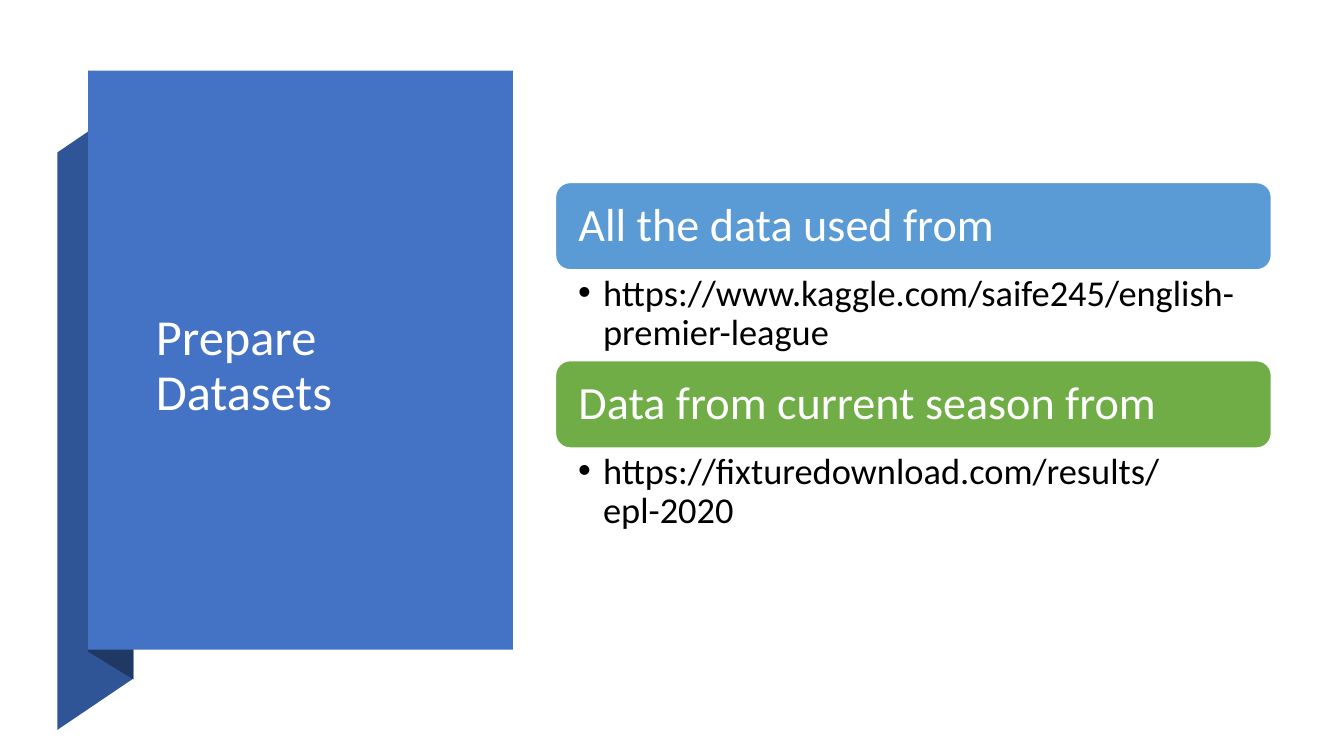
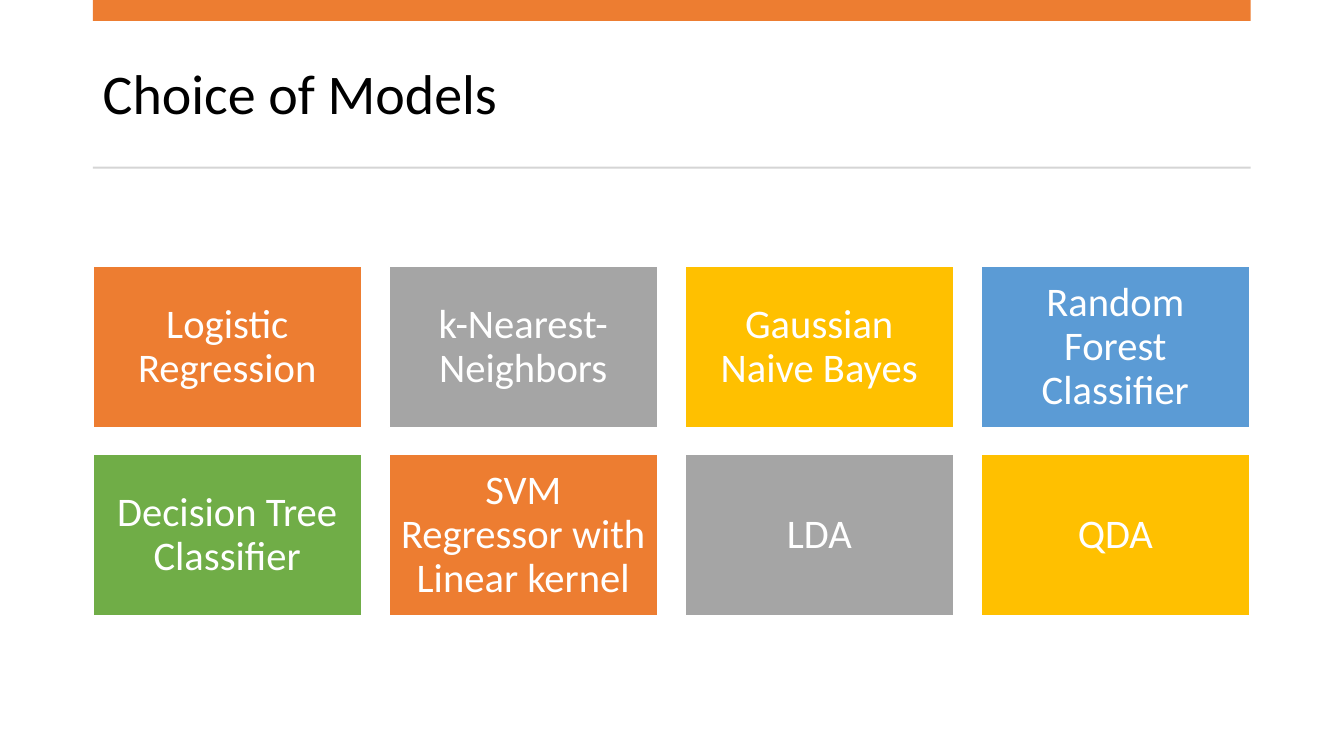
from dataclasses import dataclass

from lxml import etree
from pptx import Presentation
from pptx.dml.color import RGBColor
from pptx.enum import shapes, text
from pptx.oxml import ns
from pptx.util import Cm, Pt


@dataclass(frozen=True)
class Theme:
    font: str = "Calibri"
    white: str = "FFFFFF"
    black: str = "000000"
    rule: str = "D5D5D5"
    panel: str = "4472C4"
    ribbon: str = "2F5597"
    fold: str = "203864"
    orange: str = "ED7D31"
    gray: str = "A5A5A5"
    gold: str = "FFC000"
    blue: str = "5B9BD5"
    green: str = "70AD47"
    title_size: float = 40
    panel_title_size: float = 36
    heading_size: float = 33
    tile_size: float = 29
    link_size: float = 26


THEME = Theme()
RECTANGLE = shapes.MSO_SHAPE.RECTANGLE
ROUNDED = shapes.MSO_SHAPE.ROUNDED_RECTANGLE


def paint(shape, fill, line=None):
    shape.shadow.inherit = False
    shape.fill.solid()
    shape.fill.fore_color.rgb = RGBColor.from_string(fill)
    if line:
        shape.line.color.rgb = RGBColor.from_string(line)
        shape.line.width = Pt(1)
    else:
        shape.line.fill.background()


def add_bullet(para, indent):
    properties = para._p.get_or_add_pPr()
    properties.set("marL", str(Cm(indent)))
    properties.set("indent", str(-Cm(indent)))
    etree.SubElement(properties, ns.qn("a:buFont")).set("typeface", "Arial")
    etree.SubElement(properties, ns.qn("a:buChar")).set("char", "•")


def write(shape, words, *, size, color=THEME.white, align=text.PP_ALIGN.LEFT,
          anchor=text.MSO_ANCHOR.MIDDLE, insets=(0.25, 0.13, 0.25, 0.13), bullet=None):
    frame = shape.text_frame
    frame.word_wrap = True
    frame.vertical_anchor = anchor
    frame.margin_left, frame.margin_top, frame.margin_right, frame.margin_bottom = map(Cm, insets)
    para = frame.paragraphs[0]
    para.alignment = align
    para.line_spacing = 0.9
    if bullet:
        add_bullet(para, bullet)
    span = para.add_run()
    span.text = words
    span.font.name = THEME.font
    span.font.size = Pt(size)
    span.font.color.rgb = RGBColor.from_string(color)


def add_block(page, place, fill, *, kind=RECTANGLE, line=None):
    block = page.shapes.add_shape(kind, *map(Cm, place))
    paint(block, fill, line)
    return block


def add_words(page, place, words, **style):
    box = page.shapes.add_textbox(*map(Cm, place))
    write(box, words, **style)


def add_outline(page, points, fill):
    corners = [(Cm(x), Cm(y)) for x, y in points]
    builder = page.shapes.build_freeform(*corners[0])
    builder.add_line_segments(corners[1:], close=True)
    paint(builder.convert_to_shape(), fill)


def add_source(page, top, heading, link, fill):
    left, width, bar_height, link_height = 14, 18.04, 2.2, 2.29
    bar = add_block(page, (left, top, width, bar_height), fill, kind=ROUNDED, line=THEME.white)
    write(bar, heading, size=THEME.heading_size, insets=(0.47, 0.36, 0.47, 0.36))
    add_words(page, (left, top + bar_height, width, link_height), link,
              size=THEME.link_size, color=THEME.black, anchor=text.MSO_ANCHOR.TOP,
              insets=(0.57, 0.12, 0.65, 0.12), bullet=0.63)
    return top + bar_height + link_height


def add_tiles(page, tiles, *, left, top, columns=4):
    width, height, gap = 6.78, 4.06, 0.68
    for index, (name, fill) in enumerate(tiles):
        row, column = divmod(index, columns)
        place = (left + column * (width + gap), top + row * (height + gap), width, height)
        tile = add_block(page, place, fill, line=THEME.white)
        write(tile, name, size=THEME.tile_size, align=text.PP_ALIGN.CENTER, insets=(0.3,) * 4)


def build_datasets(page):
    add_outline(page, [(1.45, 18.39), (3.36, 17.1), (3.36, 2.54), (1.45, 3.84)], THEME.ribbon)
    add_outline(page, [(2.22, 16.42), (3.36, 17.12), (3.36, 2.51), (2.22, 1.78)], THEME.fold)
    add_block(page, (2.22, 1.78, 10.71, 14.59), THEME.panel)
    add_words(page, (3.68, 4.24, 7.65, 10), "Prepare Datasets", size=THEME.panel_title_size)
    sources = [
        ("All the data used from",
         "https://www.kaggle.com/saife245/english-premier-league", THEME.blue),
        ("Data from current season from",
         "https://fixturedownload.com/results/epl-2020", THEME.green),
    ]
    top = 4.6
    for heading, link, fill in sources:
        top = add_source(page, top, heading, link, fill)


def build_models(page):
    left, width = 2.34, 29.18
    add_words(page, (left, 0.94, width, 3), "Choice of Models",
              size=THEME.title_size, color=THEME.black)
    add_block(page, (left, 0, width, 0.53), THEME.orange)
    add_block(page, (left, 4.2, width, 0.05), THEME.rule)
    names = ["Logistic Regression", "k-Nearest-Neighbors", "Gaussian Naive Bayes",
             "Random Forest Classifier", "Decision Tree Classifier",
             "SVM Regressor with Linear kernel", "LDA", "QDA"]
    cycle = [THEME.orange, THEME.gray, THEME.gold, THEME.blue, THEME.green]
    tiles = [(name, cycle[index % len(cycle)]) for index, name in enumerate(names)]
    add_tiles(page, tiles, left=left, top=6.72)


def main():
    deck = Presentation()
    deck.slide_width, deck.slide_height = Cm(33.87), Cm(19.05)
    for build in (build_datasets, build_models):
        build(deck.slides.add_slide(deck.slide_layouts[6]))
    deck.save("out.pptx")


if __name__ == "__main__":
    main()
